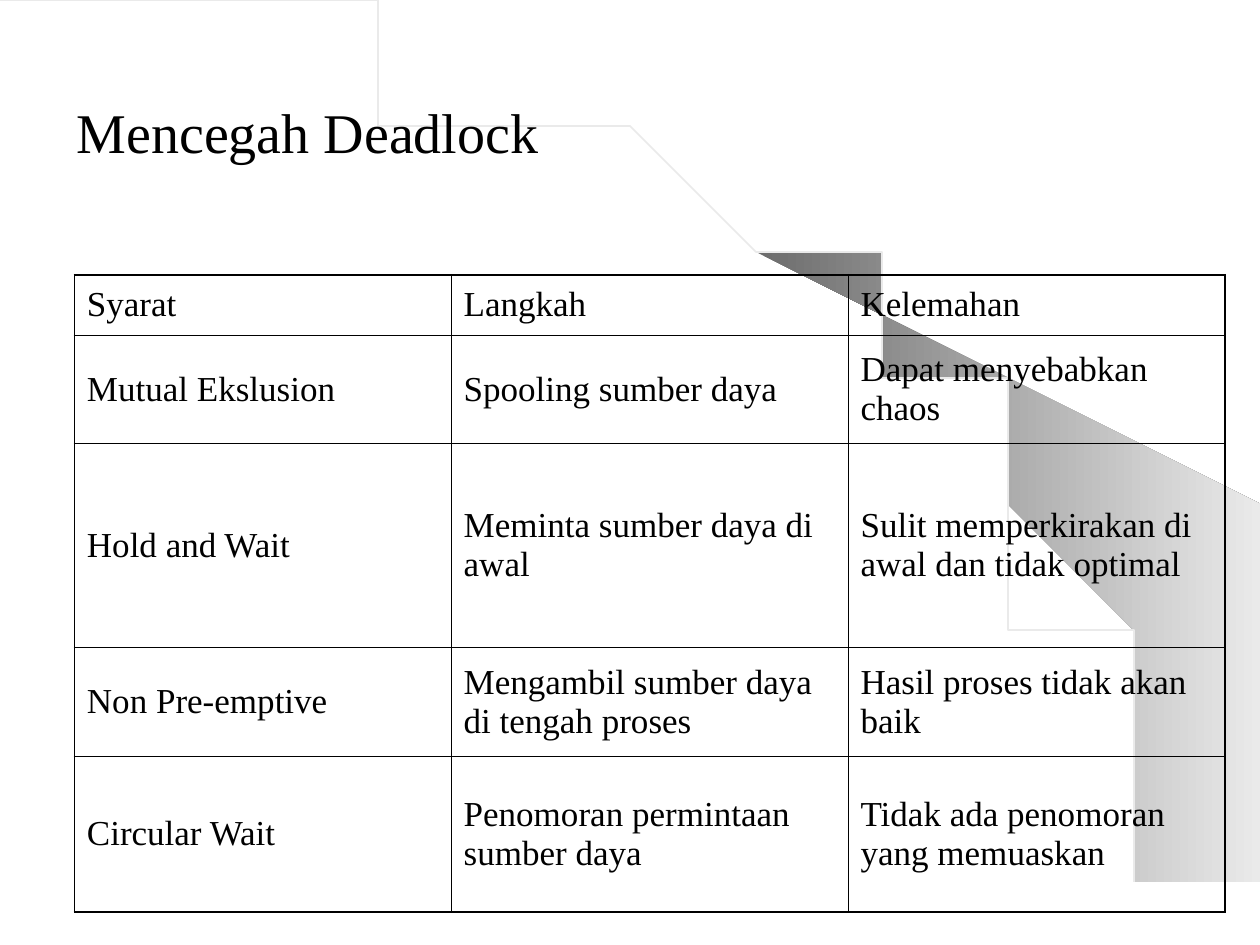
import pptx
import pptx.dml.color
import pptx.enum.text
import pptx.oxml
import pptx.oxml.ns
import pptx.util

Inches, Pt = pptx.util.Inches, pptx.util.Pt
RGB = pptx.dml.color.RGBColor.from_string
MIDDLE = pptx.enum.text.MSO_ANCHOR.MIDDLE

FONT = "Times New Roman"
COLORS = {"text": "000000", "border": "000000", "arc": "EAEAEA",
          "beam_dark": "6C6C6C", "beam_light": "EAEAEA"}


def add_text(tf, text, size):
    r = tf.paragraphs[0].add_run()
    r.text = text
    r.font.name = FONT
    r.font.size = Pt(size)
    r.font.color.rgb = RGB(COLORS["text"])


def add_border(cell, side, width):
    """Add one cell edge; call in the order L, R, T, B and before the fill."""
    cell._tc.get_or_add_tcPr().append(pptx.oxml.parse_xml(
        f'<a:ln{side} {pptx.oxml.ns.nsdecls("a")} w="{Pt(width)}"><a:solidFill>'
        f'<a:srgbClr val="{COLORS["border"]}"/></a:solidFill></a:ln{side}>'))


prs = pptx.Presentation()
prs.slide_width, prs.slide_height = Inches(10), Inches(7.5)
s = prs.slides.add_slide(prs.slide_layouts[6])

# Shaded beam behind the table
beam = [(9.2, 7.48), (9.99, 7.49), (9.99, 4.23), (5.89, 1.73), (6.24, 1.99),
        (6.53, 2.22), (6.85, 2.5), (7.16, 2.8), (7.62, 3.3), (8.03, 3.84),
        (8.32, 4.31), (8.58, 4.79), (8.78, 5.28), (8.93, 5.72), (9.03, 6.09),
        (9.13, 6.56), (9.17, 6.96)]
fb = s.shapes.build_freeform(*beam[0], scale=Inches(1))
fb.add_line_segments(beam[1:], close=True)
sp = fb.convert_to_shape()
sp.shadow.inherit = False
sp.line.fill.background()
sp.fill.gradient()
sp.fill.gradient_angle = 0
for stop, position, name in zip(sp.fill.gradient_stops, (0, 1),
                                ("beam_dark", "beam_light")):
    stop.position = position
    stop.color.rgb = RGB(COLORS[name])

# Thin arc, a cubic curve from the top left corner to the bottom edge
STEPS = 60
arc = []
for i in range(1, STEPS + 1):
    t = i / STEPS
    u = 1 - t
    arc.append((3 * u * u * t * 5.08 + 3 * u * t * t * 9.2 + t ** 3 * 9.2,
                3 * u * t * t * 3.35 + t ** 3 * 7.49))
fb = s.shapes.build_freeform(0, 0, scale=Inches(1))
fb.add_line_segments(arc, close=False)
sp = fb.convert_to_shape()
sp.shadow.inherit = False
sp.fill.background()
sp.line.color.rgb = RGB(COLORS["arc"])
sp.line.width = Pt(1)

# Title
tf = s.shapes.add_textbox(Inches(0.51), Inches(0.68), Inches(8.5), Inches(0.72)).text_frame
tf.word_wrap = True
tf.vertical_anchor = MIDDLE
add_text(tf, "Mencegah Deadlock", 32)

# Table of conditions, steps and weaknesses
rows = [
    ("Syarat", "Langkah", "Kelemahan"),
    ("Mutual Ekslusion", "Spooling sumber daya", "Dapat menyebabkan chaos"),
    ("Hold and Wait", "Meminta sumber daya di awal",
     "Sulit memperkirakan di awal dan tidak optimal"),
    ("Non Pre-emptive", "Mengambil sumber daya di tengah proses",
     "Hasil proses tidak akan baik"),
    ("Circular Wait", "Penomoran permintaan sumber daya",
     "Tidak ada penomoran yang memuaskan"),
]
widths = (2.99, 3.15, 2.99)
heights = (0.48, 0.86, 1.62, 0.86, 1.24)
OUTER, INNER = 1.08, 0.45

table = s.shapes.add_table(len(rows), len(widths), Inches(0.59), Inches(2.18),
                           Inches(sum(widths)), Inches(sum(heights))).table
table.first_row = table.horz_banding = False
for column, width in zip(table.columns, widths):
    column.width = Inches(width)
for i, (texts, height) in enumerate(zip(rows, heights)):
    table.rows[i].height = Inches(height)
    for j, text in enumerate(texts):
        cell = table.cell(i, j)
        cell.vertical_anchor = MIDDLE
        add_text(cell.text_frame, text, 20)
        on_edge = {"L": j == 0, "R": j == len(widths) - 1,
                   "T": i == 0, "B": i == len(rows) - 1}
        for side, outer in on_edge.items():
            add_border(cell, side, OUTER if outer else INNER)
        cell.fill.background()

prs.save("out.pptx")
